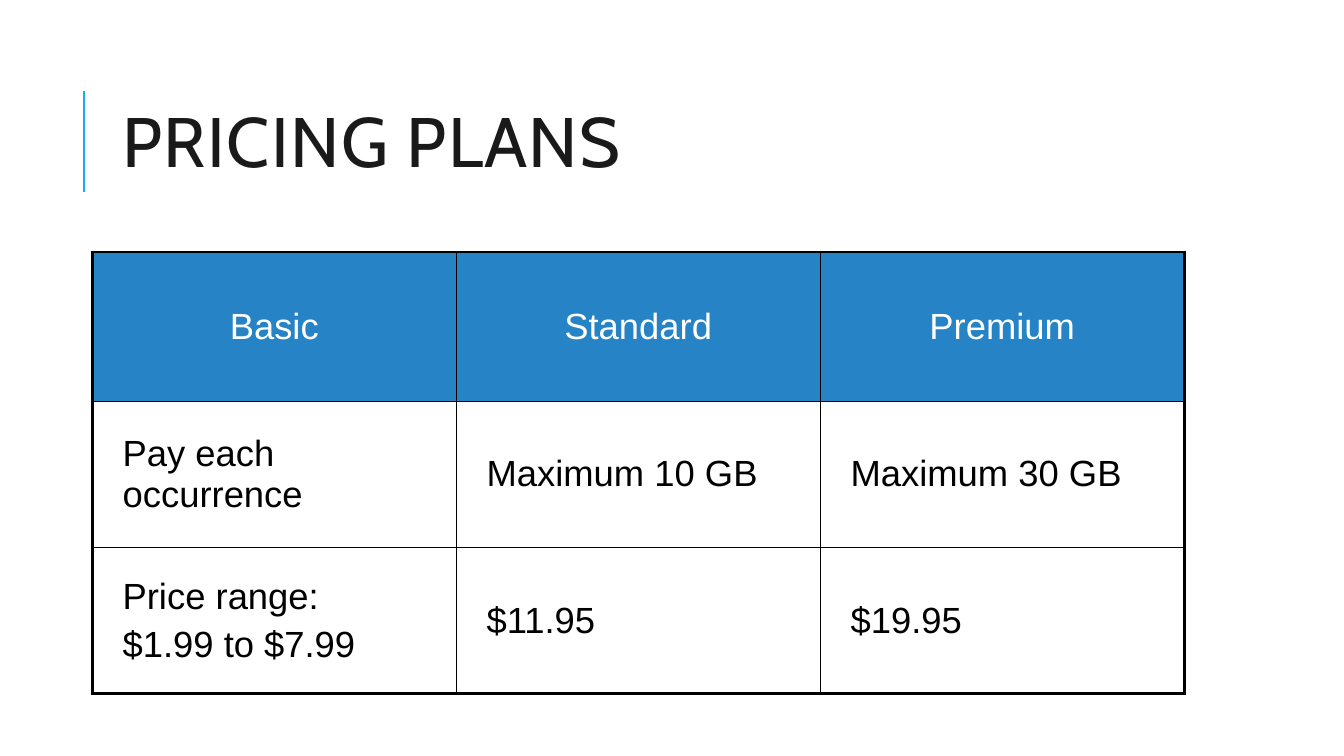
import pptx
import pptx.util
from dataclasses import dataclass
from lxml import etree
from pptx.dml.color import RGBColor
from pptx.enum.shapes import MSO_CONNECTOR
from pptx.enum.text import MSO_ANCHOR, PP_ALIGN
from pptx.oxml.ns import qn
from pptx.util import Pt


@dataclass(frozen=True)
class Theme:
    accent: str = "1CADE4"
    header: str = "2683C6"
    white: str = "FFFFFF"
    black: str = "000000"
    title: str = "1A1A1A"
    title_font: str = "Cabin"
    body_font: str = "Arial"
    title_size: float = 50
    body_size: float = 26
    thin: float = 1
    thick: float = 2.25


THEME = Theme()
PLANS = [
    ["Basic", "Standard", "Premium"],
    ["Pay each occurrence", "Maximum 10 GB", "Maximum 30 GB"],
    ["Price range:\n$1.99 to $7.99", "$11.95", "$19.95"],
]
COLUMN_WIDTH = 260
ROW_HEIGHTS = [106.5, 104.5, 104.5]


def style_run(r, font, size, color):
    r.font.name = font
    r.font.size = Pt(size)
    r.font.bold = False
    r.font.color.rgb = RGBColor.from_string(color)


def add_accent_line(s, x, top, bottom):
    line = s.shapes.add_connector(
        MSO_CONNECTOR.STRAIGHT, Pt(x), Pt(bottom), Pt(x), Pt(top))
    line.line.color.rgb = RGBColor.from_string(THEME.accent)
    line.line.width = Pt(1.5)
    etree.SubElement(line._element.spPr, qn("a:effectLst"))


def add_title(s, text, left, top, width, height):
    tf = s.shapes.add_textbox(Pt(left), Pt(top), Pt(width), Pt(height)).text_frame
    tf.word_wrap = True
    tf.vertical_anchor = MSO_ANCHOR.MIDDLE
    tf.text = text
    p = tf.paragraphs[0]
    p.line_spacing = 0.8
    r = p.runs[0]
    style_run(r, THEME.title_font, THEME.title_size, THEME.title)
    r.font._element.set("spc", "100")


def set_borders(cell, widths):
    """Draw the cell's edges; widths run left, right, top, bottom."""
    tcPr = cell._tc.get_or_add_tcPr()
    for side, width in zip("LRTB", widths):
        ln = etree.SubElement(tcPr, qn(f"a:ln{side}"), w=str(Pt(width)))
        fill = etree.SubElement(ln, qn("a:solidFill"))
        etree.SubElement(fill, qn("a:srgbClr"), val=THEME.black)


def fill_cell(cell, text, is_header):
    cell.fill.solid()
    cell.fill.fore_color.rgb = RGBColor.from_string(
        THEME.header if is_header else THEME.white)
    cell.vertical_anchor = MSO_ANCHOR.MIDDLE
    cell.margin_left = Pt(8.64 if is_header else 21.6)
    cell.margin_right = Pt(8.64)
    cell.margin_top = cell.margin_bottom = Pt(3.6)
    cell.text_frame.text = text
    for p in cell.text_frame.paragraphs:
        p.alignment = PP_ALIGN.CENTER if is_header else PP_ALIGN.LEFT
        p.space_before = Pt(0.2 * THEME.body_size)
        for r in p.runs:
            style_run(r, THEME.body_font, THEME.body_size,
                      THEME.white if is_header else THEME.black)


def add_plan_table(s, left, top):
    rows, cols = len(PLANS), len(PLANS[0])
    table = s.shapes.add_table(
        rows, cols, Pt(left), Pt(top),
        Pt(cols * COLUMN_WIDTH), Pt(sum(ROW_HEIGHTS))).table
    table.first_row = False
    table.horz_banding = False
    for column in table.columns:
        column.width = Pt(COLUMN_WIDTH)
    for i, height in enumerate(ROW_HEIGHTS):
        table.rows[i].height = Pt(height)
        for j, text in enumerate(PLANS[i]):
            cell = table.cell(i, j)
            outer = (j == 0, j == cols - 1, i == 0, i == rows - 1)
            set_borders(cell, [THEME.thick if o else THEME.thin for o in outer])
            fill_cell(cell, text, is_header=i == 0)


def main():
    prs = pptx.Presentation()
    prs.slide_width, prs.slide_height = Pt(960), Pt(540)
    s = prs.slides.add_slide(prs.slide_layouts[6])
    add_accent_line(s, 60, 65, 137)
    add_title(s, "PRICING PLANS", 80.5, 46, 765.5, 118)
    add_plan_table(s, 66, 180)
    prs.save("out.pptx")


if __name__ == "__main__":
    main()
